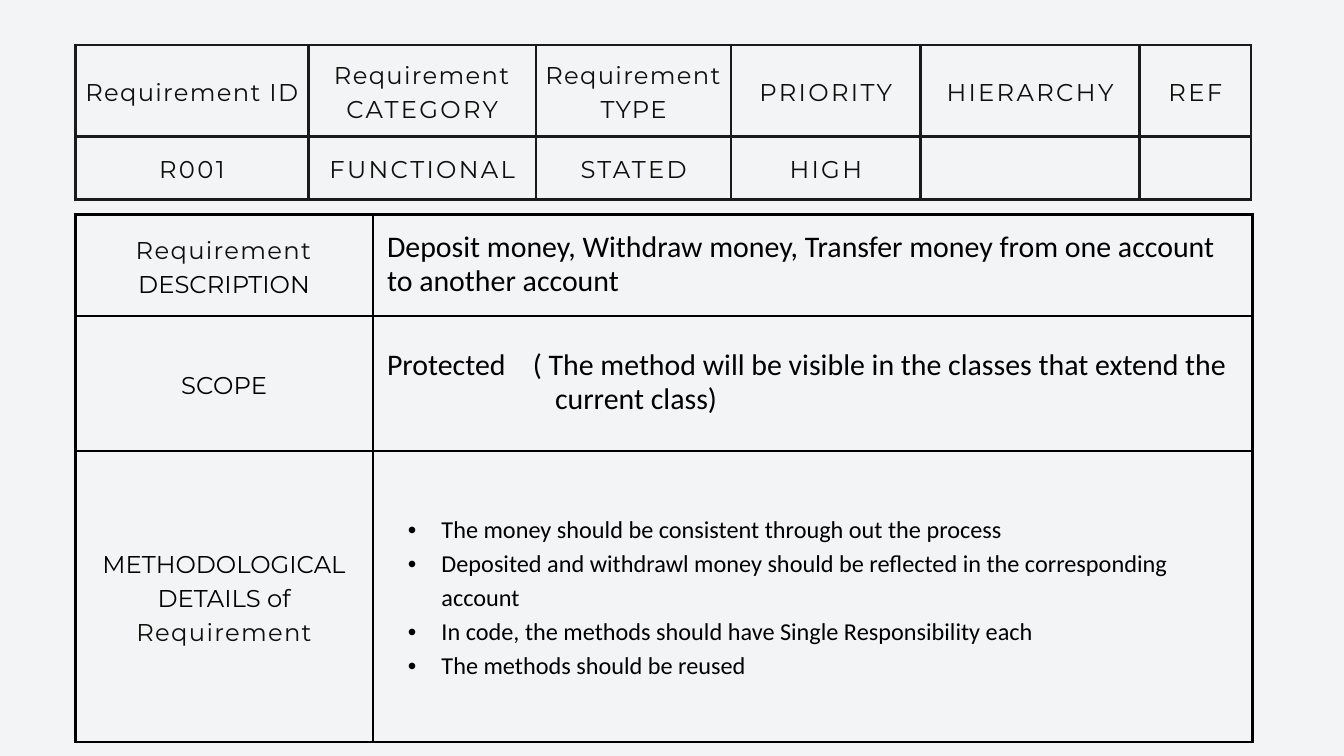
from lxml.etree import SubElement
from pptx import Presentation
from pptx.dml.color import RGBColor
from pptx.enum.text import MSO_ANCHOR, PP_ALIGN
from pptx.oxml.ns import qn
from pptx.util import Inches, Pt

THEME = {
    "background": "F2F4F5", "ink": "100F0D", "label": "010101", "body": "000000",
    "header_border": "1A1A1A", "detail_border": "000000", "border_width": 3,
    "label_font": "Montserrat", "body_font": "Calibri",
    "label_size": 26, "body_size": 32, "line": 36.4,
}

# Run styles: font, size, colour, letter spacing in points
LABEL = (THEME["label_font"], THEME["label_size"])
BODY = (THEME["body_font"], THEME["body_size"])
STYLES = {
    "close": (*LABEL, THEME["ink"], 1.4),
    "wide": (*LABEL, THEME["ink"], 2.5),
    "label": (*LABEL, THEME["label"], 0),
    "body": (*BODY, THEME["body"], 0),
    "gap": (*BODY, THEME["body"], 21.7),
    "bullet": (THEME["body_font"], THEME["label_size"], THEME["body"], 0),
}


def add_grid(slide, top, columns, rows, border, inset):
    """Add an unfilled, fully ruled table and return it."""
    table = slide.shapes.add_table(
        len(rows), len(columns), Inches(1.12), Inches(top),
        Inches(sum(columns)), Inches(sum(rows))).table
    table.first_row = table.horz_banding = False
    for column, width in zip(table.columns, columns):
        column.width = Inches(width)
    for row, height in zip(table.rows, rows):
        row.height = Inches(height)
    for cell in table.iter_cells():
        cell.vertical_anchor = MSO_ANCHOR.MIDDLE
        for side in ("left", "right", "top", "bottom"):
            setattr(cell, f"margin_{side}", Inches(inset))
        properties = cell._tc.get_or_add_tcPr()
        for edge in ("a:lnL", "a:lnR", "a:lnT", "a:lnB"):
            line = SubElement(properties, qn(edge), w=str(Pt(THEME["border_width"])))
            solid = SubElement(line, qn("a:solidFill"))
            SubElement(solid, qn("a:srgbClr"), val=border)
        cell.fill.background()
    return table


def write(paragraph, runs, align, left=0, hanging=0, bullet=None):
    """Write (text, style) runs into a paragraph."""
    paragraph.alignment = align
    paragraph.line_spacing = Pt(THEME["line"])
    properties = paragraph._p.get_or_add_pPr()
    properties.set("marL", str(Inches(left)))
    properties.set("indent", str(Inches(-hanging)))
    if bullet:
        SubElement(properties, qn("a:buFont"), typeface="Arial")
        SubElement(properties, qn("a:buChar"), char=bullet)
    for text, style in runs:
        name, size, color, spacing = STYLES[style]
        run = paragraph.add_run()
        run.text = text
        for attribute, value in {"name": name, "size": Pt(size)}.items():
            setattr(run.font, attribute, value)
        run.font.color.rgb = RGBColor.from_string(color)
        run._r.get_or_add_rPr().set("spc", str(round(spacing * 100)))


presentation = Presentation()
presentation.slide_width, presentation.slide_height = Inches(20), Inches(11.25)
slide = presentation.slides.add_slide(presentation.slide_layouts[6])
slide.background.fill.solid()
slide.background.fill.fore_color.rgb = RGBColor.from_string(THEME["background"])

# Requirement summary
summary = add_grid(slide, 0.67, [3.47, 3.39, 2.9, 2.82, 3.26, 1.66], [1.36, 0.94],
                   THEME["header_border"], 0.12)
summary_rows = [
    [[("Requirement ID", "close")],
     [("Requirement ", "close"), ("CATEGORY", "wide")],
     [("Requirement TYPE", "close")],
     [("PRIORITY", "wide")], [("HIERARCHY", "wide")], [("REF", "wide")]],
    [[(value, "wide")] for value in ("R001", "FUNCTIONAL", "STATED", "HIGH")],
]
for row, entries in enumerate(summary_rows):
    for column, runs in enumerate(entries):
        write(summary.cell(row, column).text_frame.paragraphs[0], runs, PP_ALIGN.CENTER)

# Requirement details: labels on the left
details = add_grid(slide, 3.19, [4.43, 13.09], [1.51, 2.01, 4.33],
                   THEME["detail_border"], 0.21)
detail_labels = [
    [("Requirement ", "close"), ("DESCRIPTION", "label")],
    [("SCOPE", "label")],
    [("METHODOLOGICAL DETAILS of ", "label"), ("Requirement", "close")],
]
for row, runs in enumerate(detail_labels):
    write(details.cell(row, 0).text_frame.paragraphs[0], runs, PP_ALIGN.CENTER)

# Description and scope; the scope note hangs under its bracket
description = ("Deposit money, Withdraw money, Transfer money from one account "
               "to another account")
write(details.cell(0, 1).text_frame.paragraphs[0], [(description, "body")], PP_ALIGN.LEFT)
scope = [("Protected", "body"), (" ", "gap"),
         ("( The method will be visible in the classes that extend the current class)", "body")]
write(details.cell(1, 1).text_frame.paragraphs[0], scope, PP_ALIGN.LEFT,
      left=2.5, hanging=2.5)

# Methodological points
points = [
    "The money should be consistent through out the process",
    "Deposited and withdrawl money should be reflected in the corresponding account",
    "In code, the methods should have Single Responsibility each",
    "The methods should be reused",
]
method = details.cell(2, 1).text_frame
for index, point in enumerate(points):
    paragraph = method.add_paragraph() if index else method.paragraphs[0]
    paragraph.level = 1
    write(paragraph, [(point, "bullet")], PP_ALIGN.LEFT, left=0.81, hanging=0.5, bullet="•")

presentation.save("out.pptx")
